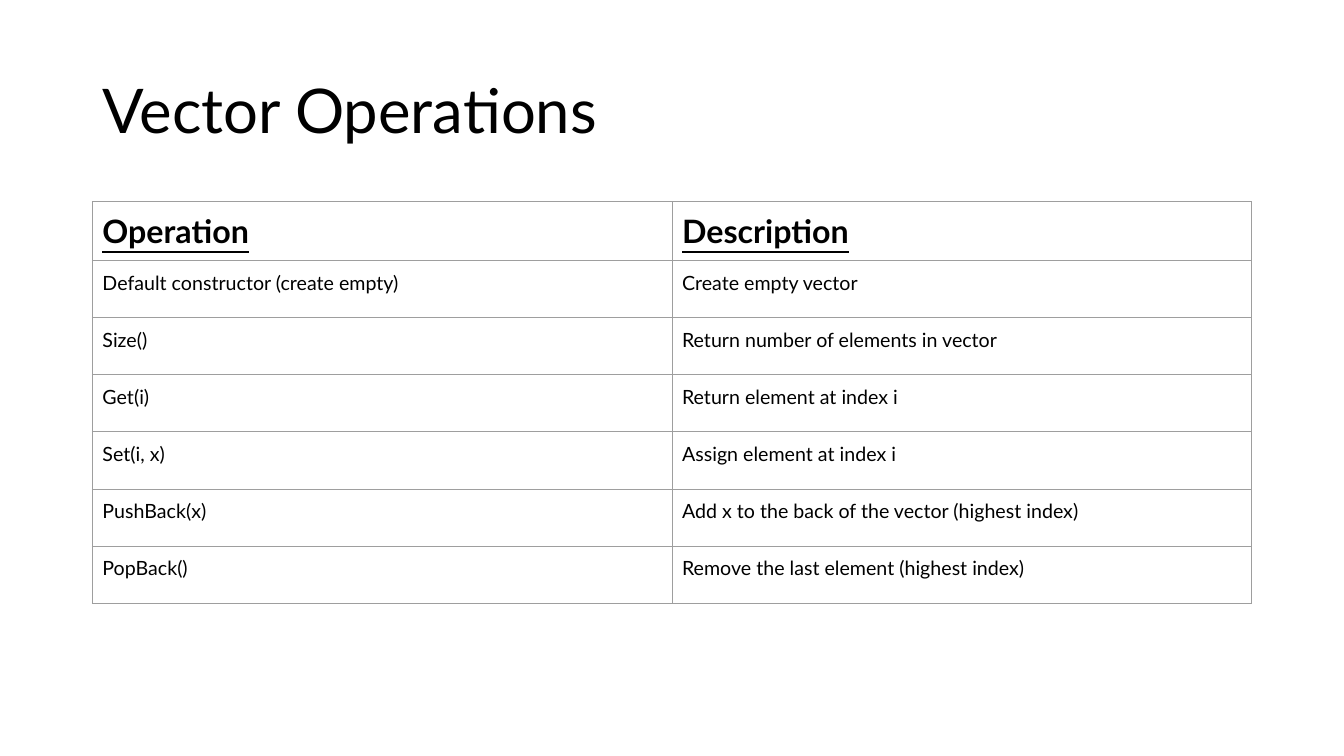
from dataclasses import dataclass

from lxml import etree
from pptx import Presentation
from pptx.dml.color import RGBColor
from pptx.enum import text as tx
from pptx.oxml import ns
from pptx.util import Pt

FONT = "Lato"
BLACK = RGBColor(0x00, 0x00, 0x00)
GREY = RGBColor(0x9E, 0x9E, 0x9E)

LEFT, WIDTH = Pt(66), Pt(828)
ROW = Pt(40.8)
PAD = Pt(7.2)

TITLE = {"name": FONT, "size": Pt(44), "bold": False}
HEAD = {"name": FONT, "size": Pt(23), "bold": True, "underline": True}
BODY = {"name": FONT, "size": Pt(14), "bold": False, "underline": False}


@dataclass
class Entry:
    name: str
    note: str


ENTRIES = [
    Entry("Operation", "Description"),
    Entry("Default constructor (create empty)", "Create empty vector"),
    Entry("Size()", "Return number of elements in vector"),
    Entry("Get(i)", "Return element at index i"),
    Entry("Set(i, x)", "Assign element at index i"),
    Entry("PushBack(x)", "Add x to the back of the vector (highest index)"),
    Entry("PopBack()", "Remove the last element (highest index)"),
]


def apply(item, values: dict) -> None:
    for key, value in values.items():
        setattr(item, key, value)


def write(par, words: str, style: dict) -> None:
    run = par.add_run()
    run.text = words
    apply(run.font, style)
    run.font.color.rgb = BLACK


def border(cell) -> None:
    props = cell._tc.get_or_add_tcPr()
    for side in "LRTB":
        line = etree.SubElement(props, ns.qn(f"a:ln{side}"), w=str(Pt(0.75)))
        fill = etree.SubElement(line, ns.qn("a:solidFill"))
        etree.SubElement(fill, ns.qn("a:srgbClr"), val=str(GREY))


def fill_cell(cell, words: str, style: dict) -> None:
    apply(cell, dict.fromkeys(
        ("margin_left", "margin_right", "margin_top", "margin_bottom"), PAD))
    border(cell)
    cell.fill.background()
    write(cell.text_frame.paragraphs[0], words, style)


def add_title(slide) -> None:
    title = slide.shapes.title
    apply(title, {"left": LEFT, "top": Pt(28.75),
                  "width": WIDTH, "height": Pt(104.4)})
    frame = title.text_frame
    apply(frame, {"vertical_anchor": tx.MSO_ANCHOR.MIDDLE, "word_wrap": True,
                  "auto_size": tx.MSO_AUTO_SIZE.NONE})
    par = frame.paragraphs[0]
    apply(par, {"alignment": tx.PP_ALIGN.LEFT, "line_spacing": 0.9})
    write(par, "Vector Operations", TITLE)


def add_grid(slide) -> None:
    count = len(ENTRIES)
    table = slide.shapes.add_table(
        count, 2, LEFT, Pt(144), WIDTH, ROW * count).table
    apply(table, {"first_row": False, "horz_banding": False})
    for index, entry in enumerate(ENTRIES):
        table.rows[index].height = ROW
        style = BODY if index else HEAD
        for col, words in enumerate((entry.name, entry.note)):
            fill_cell(table.cell(index, col), words, style)


def main() -> None:
    deck = Presentation()
    apply(deck, {"slide_width": Pt(960), "slide_height": Pt(540)})
    slide = deck.slides.add_slide(deck.slide_layouts[5])

    # Heading
    add_title(slide)

    # Operations table
    add_grid(slide)

    deck.save("out.pptx")


if __name__ == "__main__":
    main()
